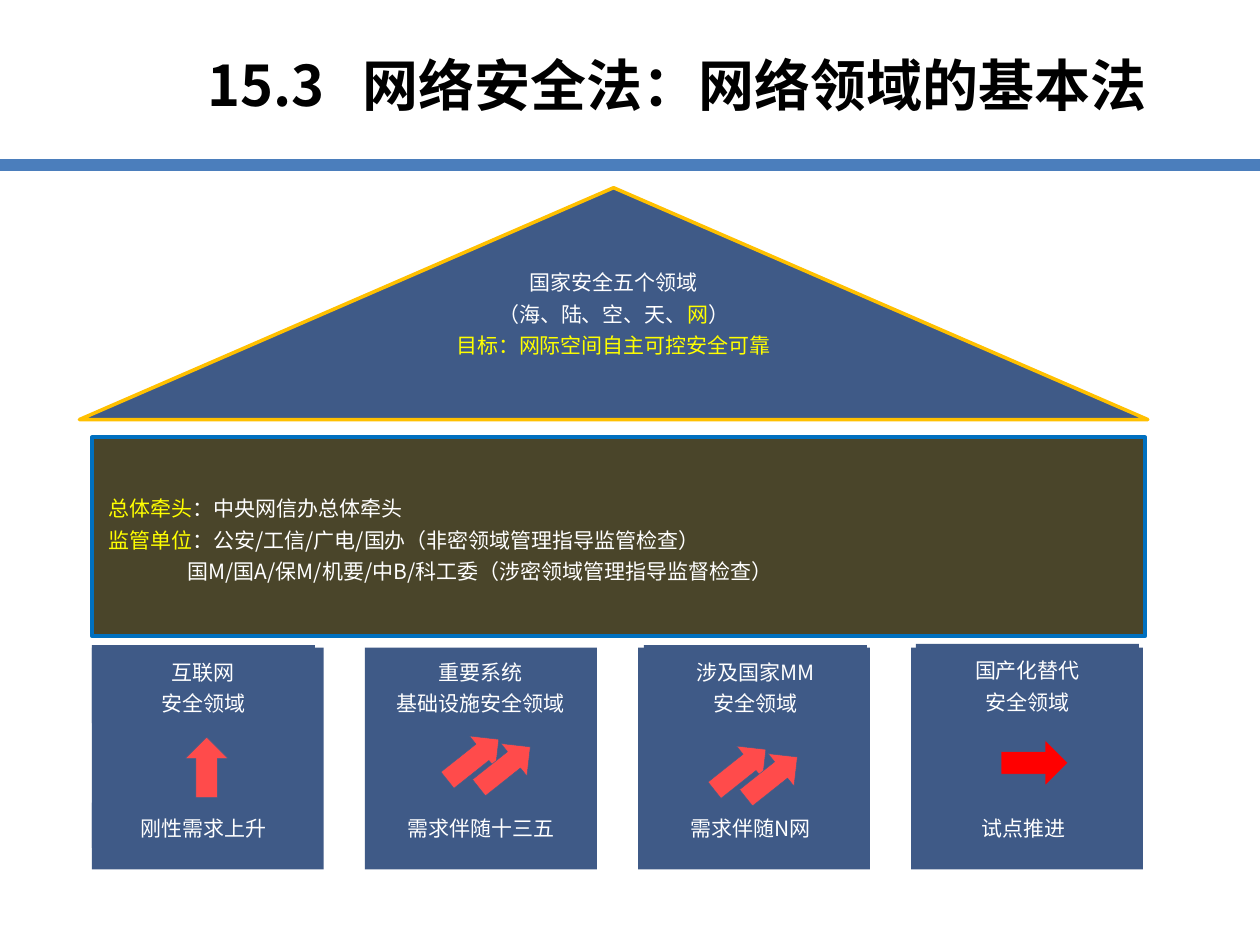
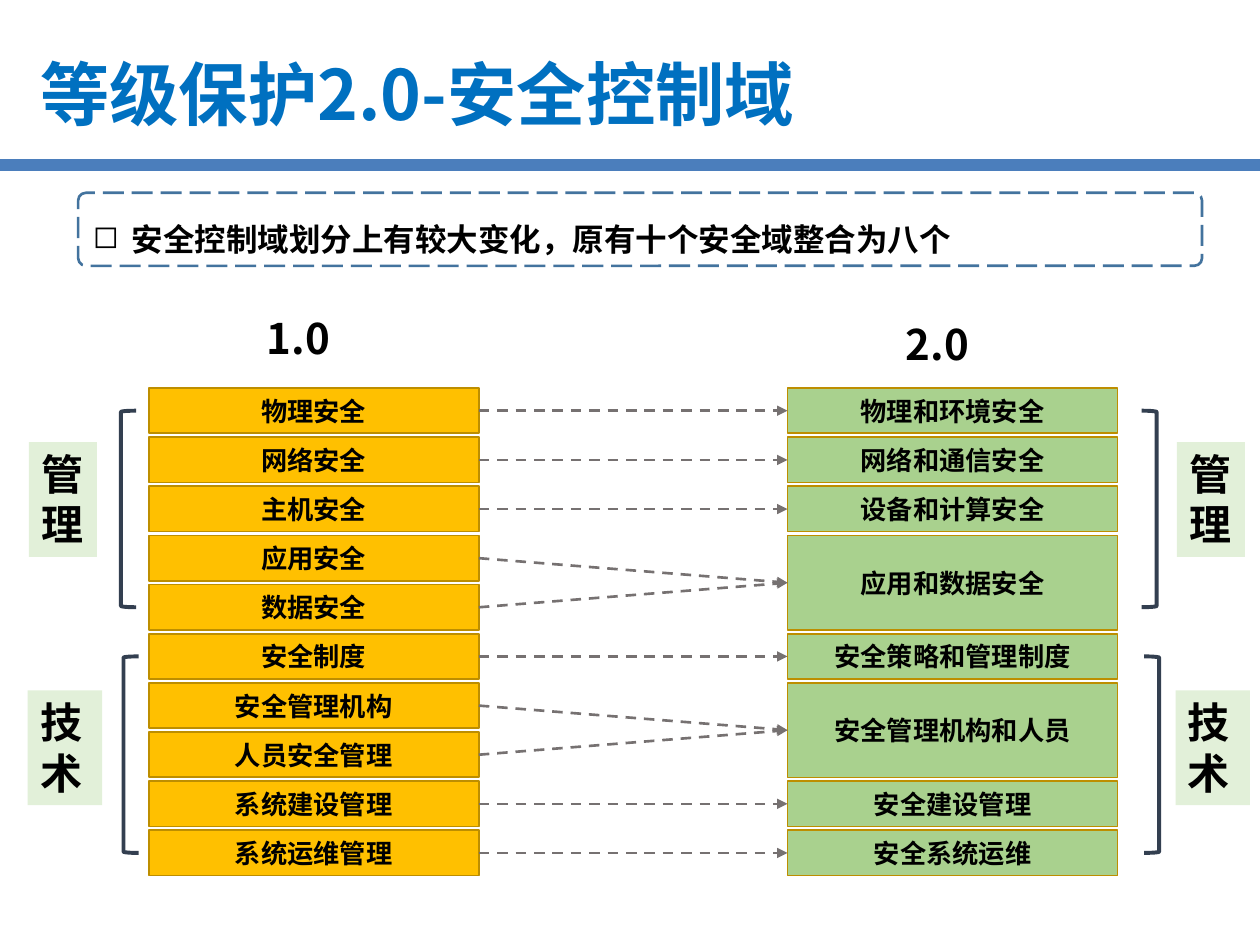
from dataclasses import dataclass
from itertools import accumulate

from lxml import etree
from pptx import Presentation
from pptx.dml.color import RGBColor
from pptx.enum.dml import MSO_LINE
from pptx.enum.shapes import MSO_CONNECTOR, MSO_SHAPE
from pptx.enum.text import MSO_ANCHOR, MSO_AUTO_SIZE, PP_ALIGN
from pptx.oxml.ns import qn
from pptx.util import Inches, Pt

RECT = MSO_SHAPE.RECTANGLE
ROUNDED = MSO_SHAPE.ROUNDED_RECTANGLE
TRIANGLE = MSO_SHAPE.ISOSCELES_TRIANGLE
UP_ARROW = MSO_SHAPE.UP_ARROW
LEFT_BRACKET = MSO_SHAPE.LEFT_BRACKET
RIGHT_BRACKET = MSO_SHAPE.RIGHT_BRACKET
STRAIGHT = MSO_CONNECTOR.STRAIGHT
DASH = MSO_LINE.DASH
LONG_DASH = MSO_LINE.LONG_DASH
LEFT = PP_ALIGN.LEFT
CENTER = PP_ALIGN.CENTER
TOP = MSO_ANCHOR.TOP
MIDDLE = MSO_ANCHOR.MIDDLE
BOTTOM = MSO_ANCHOR.BOTTOM
NO_FIT = MSO_AUTO_SIZE.NONE
TITLE_ONLY = 5


@dataclass(frozen=True)
class Theme:
    font: str = "Noto Sans CJK SC"
    black: str = "000000"
    white: str = "FFFFFF"
    yellow: str = "FFFF00"
    band: str = "4B7EBC"
    blue: str = "0070C0"
    navy: str = "3F5A87"
    olive: str = "4A452A"
    gold: str = "FFC000"
    gold_edge: str = "BD8E00"
    green: str = "A9D18E"
    pale_green: str = "E2F0D9"
    red: str = "FF0000"
    light_red: str = "FF4B4B"
    arrow_edge: str = "3A5F8C"
    frame: str = "43739E"
    grey: str = "767171"
    slate: str = "333F50"
    small: float = 12
    row: float = 15
    lead: float = 18
    label: float = 24
    title: float = 32
    big_title: float = 39.6


THEME = Theme()
CARD_INSETS = (0.13, 0.07, 0.13, 0.07)
TEXT_INSETS = (0.1, 0.05, 0.1, 0.05)
ROW_TOP, ROW_PITCH, ROW_HEIGHT = 3.08, 0.39, 0.36
COLUMN_WIDTH, OLD_LEFT, NEW_LEFT = 2.62, 1.18, 6.25


def color(value):
    return RGBColor.from_string(value)


def add_span(para, text, size, ink, bold=False, tracking=0):
    span = para.add_run()
    span.text = text
    font = span.font
    font.name, font.size, font.bold = THEME.font, Pt(size), bold
    font.color.rgb = color(ink)
    properties = font._element
    east_asian = etree.SubElement(properties, qn("a:ea"))
    east_asian.set("typeface", THEME.font)
    if tracking:
        properties.set("spc", str(tracking * 100))


def set_frame(box, insets, anchor, wrap=True):
    frame = box.text_frame
    frame.auto_size = NO_FIT
    frame.word_wrap = wrap
    frame.vertical_anchor = anchor
    (frame.margin_left, frame.margin_top,
     frame.margin_right, frame.margin_bottom) = map(Inches, insets)
    return frame


def write(box, lines, size, ink=THEME.black, bold=False, align=CENTER, spacing=1.0,
          anchor=MIDDLE, insets=TEXT_INSETS, wrap=True):
    frame = set_frame(box, insets, anchor, wrap)
    for index, line in enumerate(lines):
        para = frame.add_paragraph() if index else frame.paragraphs[0]
        para.alignment, para.line_spacing = align, spacing
        spans = [(line, ink)] if isinstance(line, str) else line
        for text, span_ink in spans:
            add_span(para, text, size, span_ink, bold)
    return frame


def add_box(page, place, kind=RECT, fill=None, edge=None, width=1.0, dash=None):
    box = page.shapes.add_shape(kind, *map(Inches, place))
    box.shadow.inherit = False
    if fill:
        box.fill.solid()
        box.fill.fore_color.rgb = color(fill)
    else:
        box.fill.background()
    if edge:
        box.line.color.rgb = color(edge)
        box.line.width = Pt(width)
        if dash:
            box.line.dash_style = dash
    else:
        box.line.fill.background()
    return box


def add_line(page, start, end, ink, width, dash=None, arrow=False):
    line = page.shapes.add_connector(STRAIGHT, *map(Inches, start + end))
    line.line.color.rgb = color(ink)
    line.line.width = Pt(width)
    if dash:
        line.line.dash_style = dash
    if arrow:
        etree.SubElement(line.line._get_or_add_ln(), qn("a:tailEnd")).set("type", "triangle")
    etree.SubElement(line._element.spPr, qn("a:effectLst"))


def add_page(deck, place, insets, align):
    page = deck.slides.add_slide(deck.slide_layouts[TITLE_ONLY])
    add_line(page, (0, 1.31), (10, 1.31), THEME.band, 7)
    title = page.shapes.title
    title.left, title.top, title.width, title.height = map(Inches, place)
    para = set_frame(title, insets, MIDDLE).paragraphs[0]
    para.alignment = align
    return page, para


def indent(para, left, first=0):
    properties = para._p.get_or_add_pPr()
    properties.set("marL", str(Inches(left)))
    properties.set("indent", str(Inches(first)))
    return properties


def add_card(page, left, header, header_left, header_top, header_width, filled,
             footer, footer_left, footer_width):
    add_box(page, (left, 5.14, 1.84, 1.76), fill=THEME.navy)
    fill = THEME.navy if filled else None
    for place, lines in (
        ((header_left, header_top, header_width, 0.62), header),
        ((footer_left, 6.37, footer_width, 0.36), [footer]),
    ):
        write(add_box(page, place, fill=fill), lines, THEME.small, THEME.white,
              spacing=1.25, insets=CARD_INSETS)


def add_arrow(page, place, turn, fill):
    arrow = add_box(page, place, UP_ARROW, fill, THEME.arrow_edge, 0.25)
    arrow.rotation = turn


def build_law_page(deck):
    page, title = add_page(deck, (0.4, 0.08, 9.46, 1.01), (0, 0.16, 0, 0), CENTER)
    indent(title, 0.49)
    add_span(title, "15.3", THEME.title, THEME.black, True)
    add_span(title, " ", THEME.title, THEME.black, True, tracking=14)
    add_span(title, "网络安全法：网络领域的基本法", THEME.title, THEME.black, True)

    duties = add_box(page, (0.73, 3.47, 8.36, 1.58), fill=THEME.olive, edge=THEME.blue, width=2)
    frame = write(duties, [
        [("总体牵头", THEME.yellow), ("：中央网信办总体牵头", THEME.white)],
        [("监管单位", THEME.yellow),
         ("：公安/工信/广电/国办（非密领域管理指导监管检查）", THEME.white)],
        "国M/国A/保M/机要/中B/科工委（涉密领域管理指导监督检查）",
    ], THEME.small, THEME.white, align=LEFT, spacing=1.25, insets=CARD_INSETS)
    indent(frame.paragraphs[2], 0.63)

    roof = add_box(page, (0.63, 1.49, 8.48, 1.84), TRIANGLE, THEME.navy, THEME.gold, 2)
    write(roof, [
        "国家安全五个领域",
        [("（海、陆、空、天、", THEME.white), ("网", THEME.yellow), ("）", THEME.white)],
        [("目标：网际空间自主可控安全可靠", THEME.yellow)],
    ], THEME.small, THEME.white, spacing=1.25, anchor=BOTTOM,
        insets=(0.1, 0.05, 0.1, 0.49), wrap=False)

    cards = [
        (["互联网", "安全领域"], 0.73, 5.12, 1.77, True, "刚性需求上升", 0.73, 1.77),
        (["重要系统", "基础设施安全领域"], 2.76, 5.12, 2.11, False, "需求伴随十三五", 2.9, 1.84),
        (["涉及国家MM", "安全领域"], 5.11, 5.12, 1.77, True, "需求伴随N网", 5.07, 1.77),
        (["国产化替代", "安全领域"], 7.27, 5.11, 1.77, True, "试点推进", 7.24, 1.77),
    ]
    for index, card in enumerate(cards):
        add_card(page, 0.73 + index * 2.167, *card)

    add_arrow(page, (1.47, 5.85, 0.34, 0.48), 0, THEME.light_red)
    for left, top in ((3.59, 5.77), (5.71, 5.85)):
        for step in (0, 1):
            place = (left + step * 0.25, top + step * 0.06, 0.33, 0.52)
            add_arrow(page, place, 51.5, THEME.light_red)
    add_arrow(page, (8.03, 5.79, 0.36, 0.53), 90, THEME.red)


def add_domains(page, left, fill, domains):
    spans = [span for _, span in domains]
    starts = accumulate(spans[:-1], initial=0)
    centers = []
    for (name, span), start in zip(domains, starts):
        top = ROW_TOP + start * ROW_PITCH
        height = ROW_HEIGHT + (span - 1) * ROW_PITCH
        box = add_box(page, (left, top, COLUMN_WIDTH, height), fill=fill, edge=THEME.gold_edge)
        write(box, [name], THEME.row, bold=True)
        centers.append(top + height / 2)
    return centers


def build_domains_page(deck):
    page, title = add_page(deck, (0.22, 0.36, 8.61, 0.75), TEXT_INSETS, LEFT)
    add_span(title, "等级保护2.0-安全控制域", THEME.big_title, THEME.blue, True)

    summary = add_box(page, (0.62, 1.53, 8.92, 0.58), ROUNDED, edge=THEME.frame,
                      width=1.5, dash=LONG_DASH)
    summary.adjustments[0] = 0.106
    properties = indent(summary.text_frame.paragraphs[0], 0.31, -0.31)
    etree.SubElement(properties, qn("a:buChar")).set("char", "◻")
    write(summary, ["安全控制域划分上有较大变化，原有十个安全域整合为八个"],
          THEME.lead, bold=True, align=LEFT, spacing=1.5)

    old_names = ["物理安全", "网络安全", "主机安全", "应用安全", "数据安全", "安全制度",
                 "安全管理机构", "人员安全管理", "系统建设管理", "系统运维管理"]
    new_domains = [("物理和环境安全", 1), ("网络和通信安全", 1), ("设备和计算安全", 1),
                   ("应用和数据安全", 2), ("安全策略和管理制度", 1), ("安全管理机构和人员", 2),
                   ("安全建设管理", 1), ("安全系统运维", 1)]
    old_centers = add_domains(page, OLD_LEFT, THEME.gold, [(name, 1) for name in old_names])
    new_centers = add_domains(page, NEW_LEFT, THEME.green, new_domains)
    targets = [center for center, (_, span) in zip(new_centers, new_domains)
               for _ in range(span)]
    for start, end in zip(old_centers, targets):
        add_line(page, (OLD_LEFT + COLUMN_WIDTH, start), (NEW_LEFT, end),
                 THEME.grey, 1.5, DASH, arrow=True)

    for kind, bracket_left, label_shift in ((LEFT_BRACKET, 0.96, 0), (RIGHT_BRACKET, 9.06, 9.11)):
        for name, first_row, shift, label_left, label_top, label_width in (
            ("管理", 0, 0, 0.23, 3.51, 0.54),
            ("技术", 5, 0.02, 0.22, 5.48, 0.59),
        ):
            top = old_centers[first_row]
            height = old_centers[first_row + 4] - top
            add_box(page, (bracket_left + shift, top, 0.12, height), kind,
                    edge=THEME.slate, width=2.25)
            label = add_box(page, (label_left + label_shift, label_top, label_width, 0.91),
                            fill=THEME.pale_green)
            write(label, [name], THEME.label, bold=True, align=LEFT, anchor=TOP)

    for version, left, top in (("1.0", 2.02, 2.43), ("2.0", 7.09, 2.48)):
        box = page.shapes.add_textbox(*map(Inches, (left, top, 0.95, 0.5)))
        write(box, [version], THEME.label, bold=True, align=LEFT, anchor=TOP)


def main():
    deck = Presentation()
    deck.slide_width, deck.slide_height = Inches(10), Inches(7.5)
    build_law_page(deck)
    build_domains_page(deck)
    deck.save("out.pptx")


if __name__ == "__main__":
    main()
